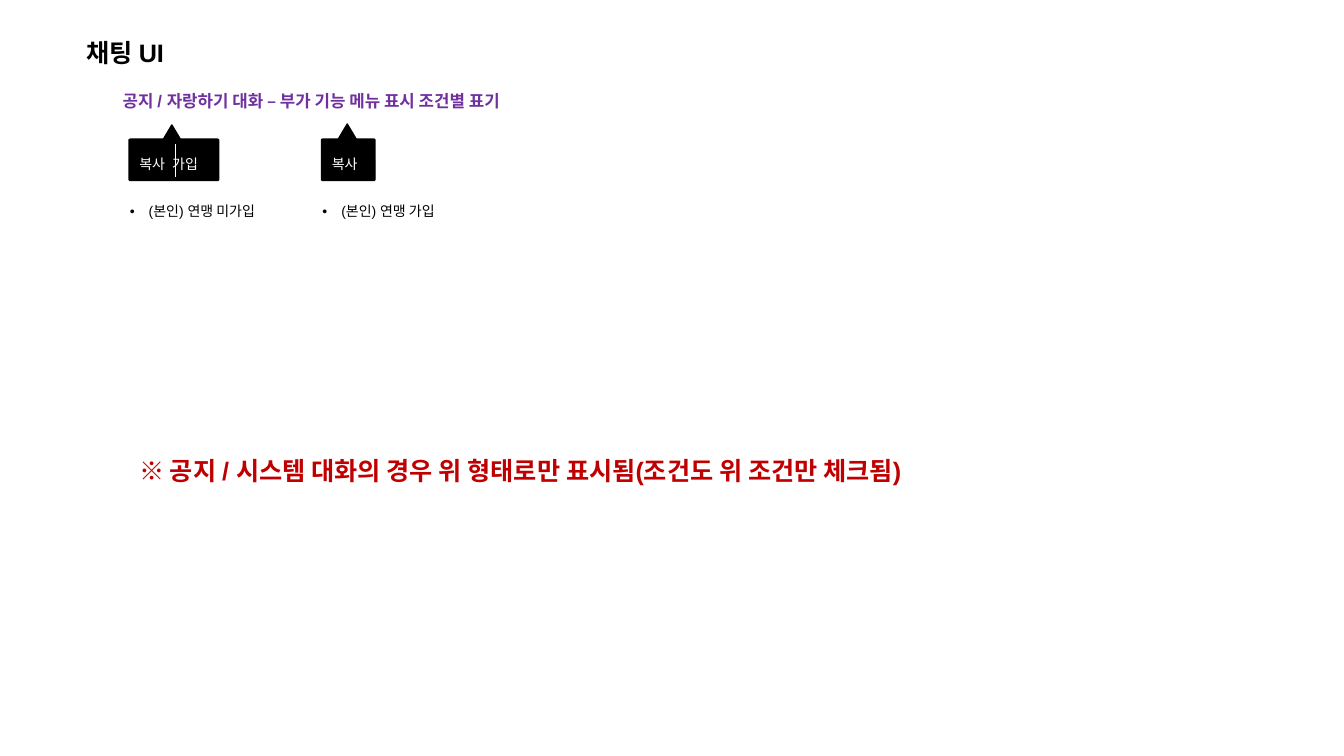
from lxml import etree
from pptx import Presentation
from pptx.dml.color import RGBColor
from pptx.enum.shapes import MSO_CONNECTOR, MSO_SHAPE
from pptx.enum.text import MSO_ANCHOR, MSO_AUTO_SIZE, PP_ALIGN
from pptx.oxml.ns import qn
from pptx.util import Pt

LEFT = PP_ALIGN.LEFT
TOP, MIDDLE = MSO_ANCHOR.TOP, MSO_ANCHOR.MIDDLE
NO_AUTOFIT = MSO_AUTO_SIZE.NONE
TRIANGLE, ROUNDED = MSO_SHAPE.ISOSCELES_TRIANGLE, MSO_SHAPE.ROUNDED_RECTANGLE
STRAIGHT = MSO_CONNECTOR.STRAIGHT

COLORS = {"black": "000000", "white": "FFFFFF", "purple": "7030A0", "red": "C00000"}
FONT = "Arial"

TITLE = "채팅 UI"
HEADING = "공지 / 자랑하기 대화 – 부가 기능 메뉴 표시 조건별 표기"
NOTE = "※ 공지 / 시스템 대화의 경우 위 형태로만 표시됨(조건도 위 조건만 체크됨)"
MENUS = [
    {"items": ["복사", "가입"], "condition": "(본인) 연맹 미가입",
     "left": 92.2, "width": 64, "pointer": (115.9, 89.3), "condition_width": 112.3},
    {"items": ["복사"], "condition": "(본인) 연맹 가입",
     "left": 229.7, "width": 38.2, "pointer": (241.2, 88.6), "condition_width": 102.2},
]
MENU_TOP, MENU_HEIGHT = 99.4, 29.5
POINTER_WIDTH, POINTER_HEIGHT = 13.7, 11.5
ITEM_STEP = 23.5
DIVIDER_OFFSET, DIVIDER_MARGIN = 33.1, 3.6
CONDITION_TOP, CONDITION_HEIGHT, CONDITION_OUTDENT = 135.4, 23, 6.5
BULLET_INDENT = 13.5


def rgb(name):
    return RGBColor.from_string(COLORS[name])


def box(left, top, width, height):
    return Pt(left), Pt(top), Pt(width), Pt(height)


def write(shape, text, size=10, color="black", bold=False, spacing=None,
          anchor=TOP, bullet=False, tab=None):
    frame = shape.text_frame
    frame.word_wrap = True
    frame.auto_size = NO_AUTOFIT
    frame.vertical_anchor = anchor
    frame.margin_left = frame.margin_right = Pt(7.2)
    frame.margin_top = frame.margin_bottom = Pt(3.6)
    paragraph = frame.paragraphs[0]
    properties = paragraph._p.get_or_add_pPr()
    if bullet:
        properties.set("marL", str(Pt(BULLET_INDENT)))
        properties.set("indent", str(-Pt(BULLET_INDENT)))
        bullet_color = etree.SubElement(properties, qn("a:buClr"))
        etree.SubElement(bullet_color, qn("a:srgbClr"), val=COLORS[color])
        etree.SubElement(properties, qn("a:buFont"), typeface=FONT)
        etree.SubElement(properties, qn("a:buChar"), char="•")
    if tab:
        stops = etree.SubElement(properties, qn("a:tabLst"))
        etree.SubElement(stops, qn("a:tab"), pos=str(Pt(tab)), algn="l")
    paragraph.alignment = LEFT
    if spacing:
        paragraph.line_spacing = spacing
    run = paragraph.add_run()
    run.text = text
    run.font.name = FONT
    run.font.size = Pt(size)
    run.font.bold = bold
    run.font.color.rgb = rgb(color)


def add_black_shape(group, preset, bounds):
    shape = group.shapes.add_shape(preset, *bounds)
    shape.shadow.inherit = False
    shape.fill.solid()
    shape.fill.fore_color.rgb = rgb("black")
    shape.line.color.rgb = rgb("black")
    shape.line.width = Pt(1)
    return shape


def add_divider(group, x):
    top = MENU_TOP + DIVIDER_MARGIN
    bottom = MENU_TOP + MENU_HEIGHT - DIVIDER_MARGIN + 1.4
    divider = group.shapes.add_connector(STRAIGHT, Pt(x), Pt(top), Pt(x), Pt(bottom))
    divider.line.color.rgb = rgb("white")
    divider.line.width = Pt(0.75)
    etree.SubElement(divider._element.spPr, qn("a:effectLst"))


def add_menu(slide, menu):
    """Add one popup menu with the condition that shows it."""
    group = slide.shapes.add_group_shape()
    add_black_shape(group, TRIANGLE,
                    box(*menu["pointer"], POINTER_WIDTH, POINTER_HEIGHT))
    body = add_black_shape(group, ROUNDED,
                           box(menu["left"], MENU_TOP, menu["width"], MENU_HEIGHT))
    body.adjustments[0] = 0.027
    write(body, "\t".join(menu["items"]), color="white", spacing=1.5,
          anchor=MIDDLE, tab=ITEM_STEP)
    for index in range(len(menu["items"]) - 1):
        add_divider(group, menu["left"] + DIVIDER_OFFSET + index * ITEM_STEP)
    condition = slide.shapes.add_textbox(
        *box(menu["left"] - CONDITION_OUTDENT, CONDITION_TOP,
             menu["condition_width"], CONDITION_HEIGHT))
    write(condition, menu["condition"], spacing=1.5, bullet=True)


def main():
    deck = Presentation()
    deck.slide_width, deck.slide_height = Pt(960), Pt(540)
    slide = deck.slides.add_slide(deck.slide_layouts[5])

    title = slide.shapes.title
    title.left, title.top, title.width, title.height = box(54.7, 23, 78, 29)
    write(title, TITLE, size=18, bold=True)

    heading = slide.shapes.add_textbox(*box(80.6, 54, 323.3, 26))
    write(heading, HEADING, size=12, color="purple", bold=True, spacing=1.5)

    for menu in MENUS:
        add_menu(slide, menu)

    note = slide.shapes.add_textbox(*box(92.2, 321.8, 630, 29))
    write(note, NOTE, size=18, color="red", bold=True)

    deck.save("out.pptx")


if __name__ == "__main__":
    main()
